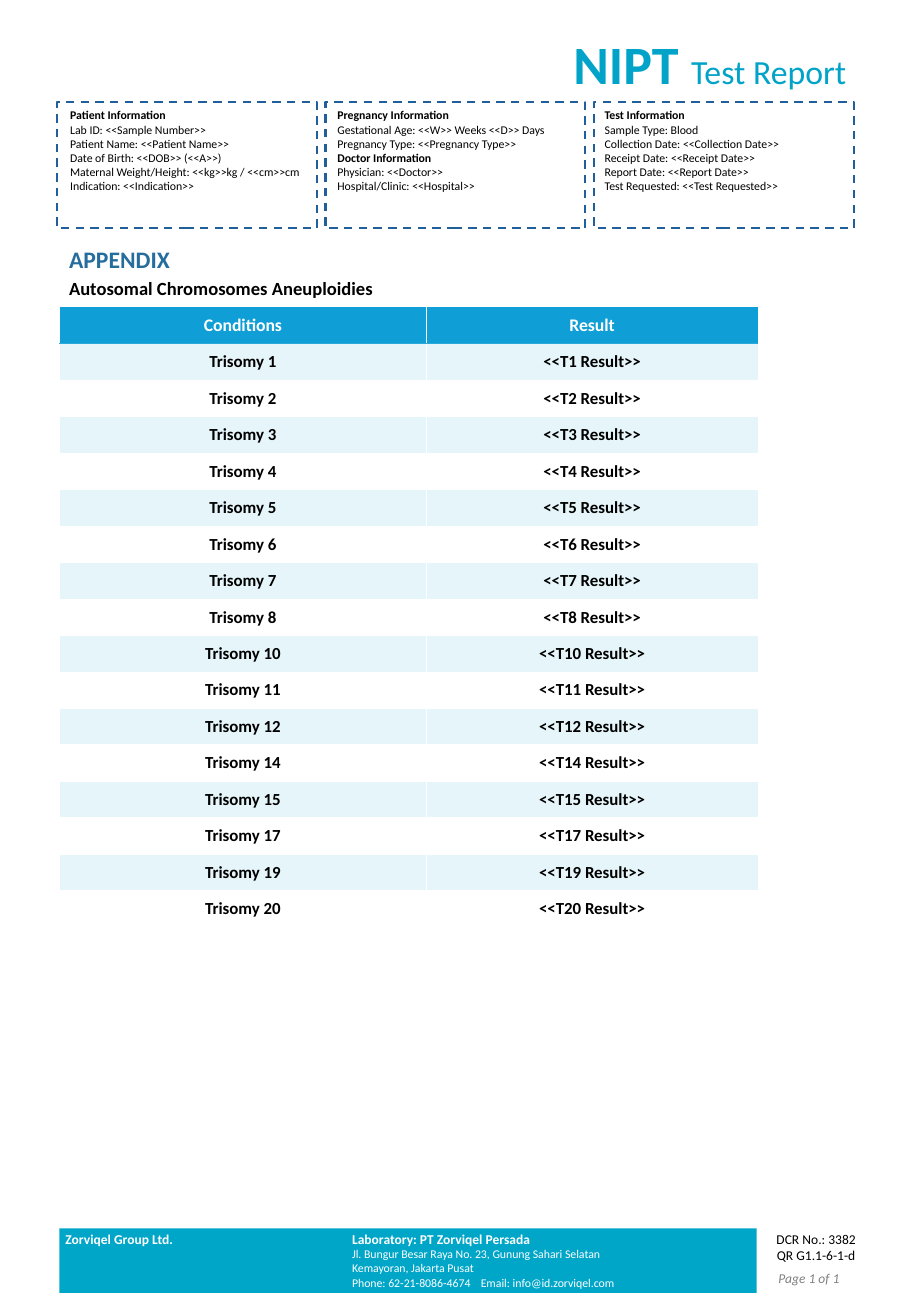
from dataclasses import dataclass

from pptx import Presentation
from pptx import util as u
from pptx.dml.color import RGBColor
from pptx.enum import dml, shapes, text
from pptx.oxml import ns
from lxml import etree

WHITE = RGBColor(0xFF, 0xFF, 0xFF)
BLACK = RGBColor(0x00, 0x00, 0x00)
GREY = RGBColor(0x80, 0x80, 0x80)
TITLE_CYAN = RGBColor(0x01, 0xA3, 0xC9)
BAND_CYAN = RGBColor(0x00, 0xA6, 0xC8)
HEADER_BLUE = RGBColor(0x0F, 0x9E, 0xD5)
RULE_BLUE = RGBColor(0x2A, 0xA9, 0xDB)
HEADING_BLUE = RGBColor(0x25, 0x6D, 0x9D)
OUTLINE_BLUE = RGBColor(0x21, 0x5F, 0x9A)

LEFT, CENTER, JUSTIFY = text.PP_ALIGN.LEFT, text.PP_ALIGN.CENTER, text.PP_ALIGN.JUSTIFY


@dataclass
class Span:
    words: str
    size: float
    color: RGBColor = BLACK
    bold: bool = False
    italic: bool = False


@dataclass
class TextBox:
    left: float
    top: float
    width: float
    height: float
    lines: list[list[Span]]
    align: text.PP_ALIGN = LEFT
    wrap: bool = True
    tab: float = 0


@dataclass
class Panel:
    text_left: float
    text_height: float
    headings: tuple[str, ...]
    lines: list[str]


def write_line(para, spans: list[Span], align) -> None:
    para.alignment = align
    for span in spans:
        run = para.add_run()
        run.text = span.words
        formats = {"name": "Calibri", "size": u.Pt(span.size),
                   "bold": span.bold, "italic": span.italic}
        for key, value in formats.items():
            setattr(run.font, key, value)
        run.font.color.rgb = span.color


def add_text(page, item: TextBox) -> None:
    box = page.shapes.add_textbox(*map(u.Inches, (item.left, item.top, item.width, item.height)))
    frame = box.text_frame
    frame.word_wrap = item.wrap
    frame.auto_size = text.MSO_AUTO_SIZE.SHAPE_TO_FIT_TEXT
    for index, spans in enumerate(item.lines):
        para = frame.add_paragraph() if index else frame.paragraphs[0]
        if item.tab and any("\t" in span.words for span in spans):
            tabs = etree.SubElement(para._p.get_or_add_pPr(), ns.qn("a:tabLst"))
            etree.SubElement(tabs, ns.qn("a:tab"), pos=str(u.Inches(item.tab)), algn="l")
        write_line(para, spans, item.align)


def add_rectangle(page, left: float, top: float, width: float, height: float):
    box = page.shapes.add_shape(shapes.MSO_SHAPE.RECTANGLE,
                                *map(u.Inches, (left, top, width, height)))
    box.shadow.inherit = False
    return box


def add_panel(page, left: float, panel: Panel) -> None:
    box = add_rectangle(page, left, 0.84, 2.14, 1.04)
    box.fill.background()
    box.line.color.rgb = OUTLINE_BLUE
    box.line.width = u.Pt(1.25)
    box.line.dash_style = dml.MSO_LINE.DASH
    lines = [[Span(line, 7, bold=line in panel.headings)] for line in panel.lines]
    add_text(page, TextBox(panel.text_left, 0.84, 2.14, panel.text_height, lines))


def paint_cell(cell, fill: RGBColor, alpha: int, top: RGBColor, bottom: RGBColor) -> None:
    cell.fill.solid()
    cell.fill.fore_color.rgb = fill
    props = cell._tc.get_or_add_tcPr()
    if alpha < 100:
        color = props.find(".//" + ns.qn("a:srgbClr"))
        etree.SubElement(color, ns.qn("a:alpha"), val=str(alpha * 1000))
    borders = {"a:lnL": WHITE, "a:lnR": WHITE, "a:lnT": top, "a:lnB": bottom}
    for index, (side, border) in enumerate(borders.items()):
        line = etree.Element(ns.qn(side), w=str(u.Pt(0.5)))
        solid = etree.SubElement(line, ns.qn("a:solidFill"))
        etree.SubElement(solid, ns.qn("a:srgbClr"), val=str(border))
        props.insert(index, line)


def add_results(page, chromosomes: list[int]) -> None:
    rows = [("Conditions", "Result")]
    rows += [(f"Trisomy {number}", f"<<T{number} Result>>") for number in chromosomes]
    table = page.shapes.add_table(len(rows), 2, *map(u.Inches, (0.49, 2.52, 5.74, 5.1))).table
    table.first_row = table.horz_banding = False
    for column, width in zip(table.columns, (3.02, 2.73)):
        column.width = u.Inches(width)
    for index, values in enumerate(rows):
        header = index == 0
        table.rows[index].height = u.Inches(0.31 if header else 0.3)
        fill = HEADER_BLUE if header else BAND_CYAN if index % 2 else WHITE
        top = RULE_BLUE if index == 1 else WHITE
        bottom = RULE_BLUE if header else WHITE
        span_format = (10.5, WHITE, True) if header else (10, BLACK, True)
        for column, value in enumerate(values):
            cell = table.cell(index, column)
            paint_cell(cell, fill, 100 if header else 10, top, bottom)
            cell.vertical_anchor = text.MSO_ANCHOR.MIDDLE
            write_line(cell.text_frame.paragraphs[0], [Span(value, *span_format)], CENTER)


PANELS = [
    Panel(0.48, 0.94, ("Patient Information",), [
        "Patient Information", "Lab ID: <<Sample Number>>", "Patient Name: <<Patient Name>>",
        "Date of Birth: <<DOB>> (<<A>>)", "Maternal Weight/Height: <<kg>>kg / <<cm>>cm",
        "Indication: <<Indication>>"]),
    Panel(2.68, 0.94, ("Pregnancy Information", "Doctor Information"), [
        "Pregnancy Information", "Gestational Age: <<W>> Weeks <<D>> Days",
        "Pregnancy Type: <<Pregnancy Type>>", "Doctor Information",
        "Physician: <<Doctor>>", "Hospital/Clinic: <<Hospital>>"]),
    Panel(4.88, 0.81, ("Test Information",), [
        "Test Information", "Sample Type: Blood", "Collection Date: <<Collection Date>>",
        "Receipt Date: <<Receipt Date>>", "Report Date: <<Report Date>>",
        "Test Requested: <<Test Requested>>"]),
]

HEADINGS = [
    TextBox(4.61, 0.2, 2.47, 0.64,
            [[Span("NIPT ", 32, TITLE_CYAN, True), Span("Test Report", 20, TITLE_CYAN)]],
            CENTER, wrap=False),
    TextBox(0.47, 1.97, 4.09, 0.34, [[Span("APPENDIX", 14, HEADING_BLUE, True)]]),
    TextBox(0.47, 2.23, 6.56, 0.29,
            [[Span("Autosomal Chromosomes Aneuploidies", 11, bold=True)]], JUSTIFY),
]

FOOTER = [
    TextBox(0.44, 10.08, 2.98, 0.24, [[Span("Zorviqel Group Ltd.", 8, WHITE, True)]]),
    TextBox(2.8, 10.08, 3.55, 0.59, [
        [Span("Laboratory: PT Zorviqel Persada", 8, WHITE, True)],
        [Span("Jl. Bungur Besar Raya No. 23, Gunung Sahari Selatan", 7, WHITE)],
        [Span("Kemayoran, Jakarta Pusat", 7, WHITE)],
        [Span("Phone: 62-21-8086-4674\tEmail: info@id.zorviqel.com", 7, WHITE)]], tab=1.06),
    TextBox(6.25, 10.08, 0.94, 0.37,
            [[Span("DCR No.: 3382", 8)], [Span("QR G1.1-6-1-d", 8)]], CENTER),
    TextBox(6.31, 10.4, 0.72, 0.24, [[Span("Page 1 of 1", 8, GREY, italic=True)]], wrap=False),
]


def main() -> None:
    deck = Presentation()
    deck.slide_width, deck.slide_height = u.Inches(7.5), u.Inches(10.83)
    page = deck.slides.add_slide(deck.slide_layouts[6])

    # Title and section headings
    for heading in HEADINGS:
        add_text(page, heading)

    # Information panels
    for index, panel in enumerate(PANELS):
        add_panel(page, 0.47 + 2.21 * index, panel)

    # Results by chromosome; 9, 13, 16 and 18 are not listed
    add_results(page, [number for number in range(1, 21) if number not in (9, 13, 16, 18)])

    # Footer band and its text
    band = add_rectangle(page, 0.49, 10.11, 5.74, 0.53)
    band.fill.solid()
    band.fill.fore_color.rgb = BAND_CYAN
    band.line.fill.background()
    for item in FOOTER:
        add_text(page, item)

    deck.save("out.pptx")


if __name__ == "__main__":
    main()
